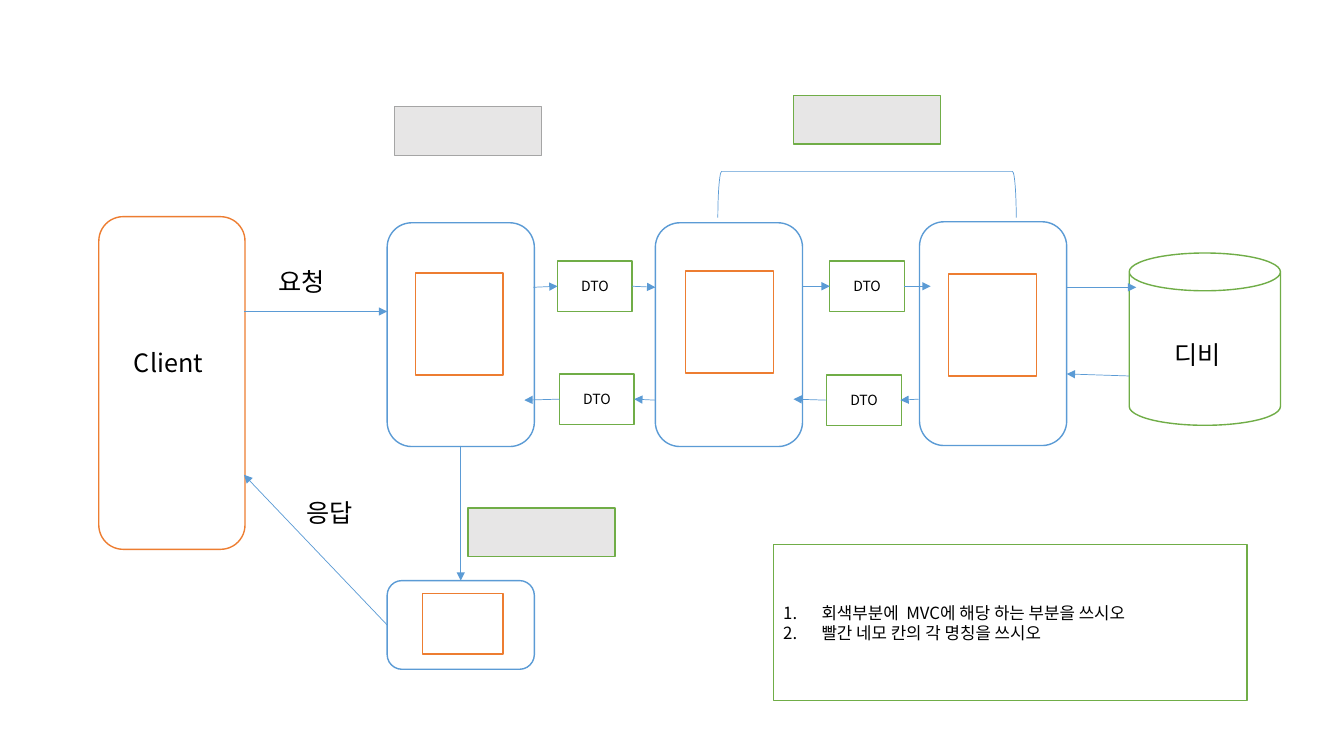
from lxml.etree import SubElement
from pptx import Presentation
from pptx.dml.color import RGBColor
from pptx.enum.shapes import MSO_CONNECTOR as CONNECTOR, MSO_SHAPE as SHAPE
from pptx.enum.text import MSO_ANCHOR as ANCHOR, MSO_AUTO_SIZE as AUTO_SIZE, PP_ALIGN as ALIGN
from pptx.oxml.ns import qn
from pptx.util import Inches, Pt

FONT = "Noto Sans CJK KR"
BLUE, GREEN, ORANGE, GRAY = "5B9BD5", "70AD47", "ED7D31", "A5A5A5"
WHITE, BLACK, LIGHT = "FFFFFF", "000000", "E7E6E6"

# left, top, width, height, line colour
LAYERS = [
    (0.98, 2.15, 1.45, 3.3, ORANGE),
    (3.84, 2.21, 1.46, 2.22, BLUE),
    (6.5, 2.21, 1.46, 2.22, BLUE),
    (9.12, 2.2, 1.46, 2.22, BLUE),
    (3.84, 5.76, 1.46, 0.88, BLUE),
]
# left, top, line colour, line width
MVC_BLANKS = [(3.91, 1.06, GRAY, 0.5), (7.87, 0.95, GREEN, 1), (4.64, 5.04, GREEN, 1)]
DTO_BOXES = [(5.53, 2.59), (8.23, 2.59), (5.55, 3.71), (8.2, 3.72)]
NAME_BLANKS = [
    (4.12, 2.71, 0.87, 1.01),
    (6.8, 2.69, 0.87, 1.01),
    (9.41, 2.72, 0.87, 1.01),
    (4.19, 5.89, 0.8, 0.6),
]
LABELS = [
    ("디비", 11.55, 3.32, 0.96),
    ("Client", 1.23, 3.4, 0.95),
    ("요청", 2.66, 2.59, 0.75),
    ("응답", 2.94, 4.88, 0.75),
]
# from x, from y, to x, to y
ARROWS = [
    (2.42, 3.09, 3.84, 3.09),
    (3.84, 6.2, 2.42, 4.71),
    (4.57, 4.42, 4.57, 5.76),
    (5.29, 2.85, 5.53, 2.84),
    (6.27, 2.84, 6.5, 2.85),
    (7.96, 2.84, 8.23, 2.84),
    (8.97, 2.84, 9.23, 2.84),
    (10.58, 2.85, 11.27, 2.85),
    (11.2, 3.73, 10.58, 3.71),
    (9.11, 3.96, 8.93, 3.97),
    (8.2, 3.97, 7.87, 3.96),
    (6.5, 3.97, 6.29, 3.96),
    (5.55, 3.96, 5.2, 3.97),
]
QUESTIONS = ["회색부분에  MVC에 해당 하는 부분을 쓰시오", "빨간 네모 칸의 각 명칭을 쓰시오"]


def rgb(color):
    return RGBColor.from_string(color)


def add_box(s, kind, left, top, width, height, line, fill=WHITE, weight=1):
    sp = s.shapes.add_shape(kind, *map(Inches, (left, top, width, height)))
    sp.shadow.inherit = False
    if fill:
        sp.fill.solid()
        sp.fill.fore_color.rgb = rgb(fill)
    else:
        sp.fill.background()
    sp.line.color.rgb = rgb(line)
    sp.line.width = Pt(weight)
    return sp


def add_run(p, text, size):
    r = p.add_run()
    r.text = text
    r.font.size = Pt(size)
    r.font.name = FONT
    r.font.color.rgb = rgb(BLACK)
    SubElement(r.font._element, qn("a:ea"), typeface=FONT)


def add_label(s, text, left, top, width):
    tf = s.shapes.add_textbox(*map(Inches, (left, top, width, 0.4))).text_frame
    tf.word_wrap = True
    tf.auto_size = AUTO_SIZE.SHAPE_TO_FIT_TEXT
    add_run(tf.paragraphs[0], text, 18)


def add_dto(s, left, top):
    tf = add_box(s, SHAPE.RECTANGLE, left, top, 0.74, 0.5, GREEN).text_frame
    tf.vertical_anchor = ANCHOR.MIDDLE
    p = tf.paragraphs[0]
    p.alignment = ALIGN.CENTER
    add_run(p, "DTO", 10)


def add_questions(s):
    tf = add_box(s, SHAPE.RECTANGLE, 7.67, 5.4, 4.7, 1.55, GREEN).text_frame
    tf.vertical_anchor = ANCHOR.MIDDLE
    for i, question in enumerate(QUESTIONS):
        p = tf.add_paragraph() if i else tf.paragraphs[0]
        p.alignment = ALIGN.LEFT
        pPr = p._p.get_or_add_pPr()
        pPr.set("marL", str(Inches(0.38)))
        pPr.set("indent", str(-Inches(0.38)))
        SubElement(pPr, qn("a:buFont"), typeface="+mj-lt")
        SubElement(pPr, qn("a:buAutoNum"), type="arabicPeriod")
        add_run(p, question, 12)


def add_arrow(s, *ends):
    line = s.shapes.add_connector(CONNECTOR.STRAIGHT, *map(Inches, ends))
    line.line.color.rgb = rgb(BLUE)
    line.line.width = Pt(0.5)
    SubElement(line.line._get_or_add_ln(), qn("a:tailEnd"), type="triangle")
    SubElement(line._element.spPr, qn("a:effectLst"))


def main():
    prs = Presentation()
    prs.slide_width, prs.slide_height = Inches(13.33), Inches(7.5)
    s = prs.slides.add_slide(prs.slide_layouts[6])

    for layer in LAYERS:
        add_box(s, SHAPE.FLOWCHART_ALTERNATE_PROCESS, *layer)
    add_box(s, SHAPE.CAN, 11.2, 2.51, 1.5, 1.71, GREEN)
    for left, top, line, weight in MVC_BLANKS:
        add_box(s, SHAPE.RECTANGLE, left, top, 1.46, 0.48, line, LIGHT, weight)
    bracket = add_box(s, SHAPE.RIGHT_BRACKET, 8.37, 0.45, 0.46, 2.96, BLUE, None, 0.5)
    bracket.rotation = 270
    for dto in DTO_BOXES:
        add_dto(s, *dto)
    for blank in NAME_BLANKS:
        add_box(s, SHAPE.RECTANGLE, *blank, ORANGE)
    add_questions(s)
    for label in LABELS:
        add_label(s, *label)
    for arrow in ARROWS:
        add_arrow(s, *arrow)
    prs.save("out.pptx")


if __name__ == "__main__":
    main()
